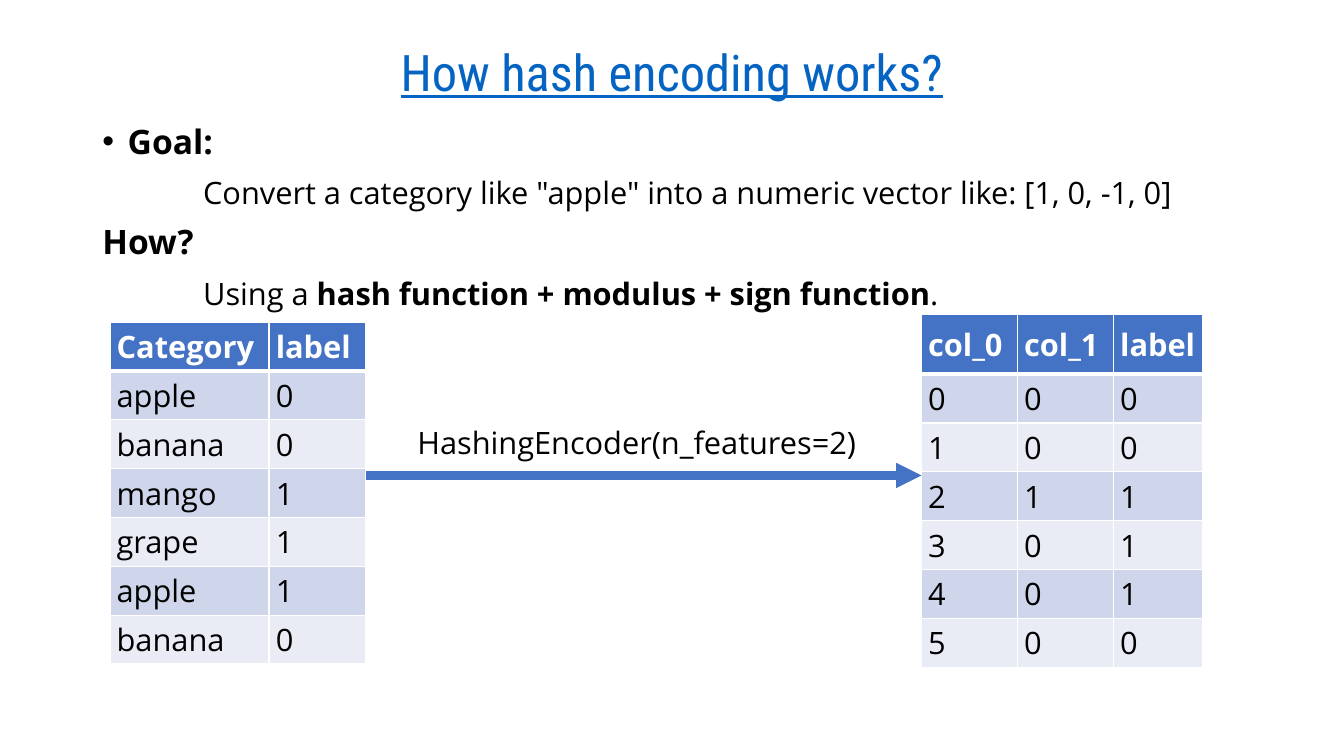
from lxml.etree import SubElement
from pptx import Presentation
from pptx.dml.color import RGBColor
from pptx.enum.shapes import MSO_CONNECTOR
from pptx.enum.text import MSO_ANCHOR, PP_ALIGN
from pptx.oxml.ns import qn
from pptx.util import Cm, Pt

TITLE = "How hash encoding works?"
BODY = [
    [("Goal:", 24, True)],
    [("\t", 24, False),
     ('Convert a category like "apple" into a numeric vector like: [1, 0, -1, 0]', 22, False)],
    [("How?", 24, True)],
    [("\t", 24, False), ("Using a ", 22, False),
     ("hash function + modulus + sign function", 22, True), (".", 22, False)],
]
ENCODER = "HashingEncoder(n_features=2)"
CATEGORIES = [
    ("Category", "label"),
    ("apple", "0"), ("banana", "0"), ("mango", "1"),
    ("grape", "1"), ("apple", "1"), ("banana", "0"),
]
ENCODED = [
    ("col_0", "col_1", "label"),
    ("0", "0", "0"), ("1", "0", "0"), ("2", "1", "1"),
    ("3", "0", "1"), ("4", "0", "1"), ("5", "0", "0"),
]
TEXT_FONT, TITLE_FONT = "Open Sans", "Roboto Condensed"
BLACK, WHITE, BLUE, LINK = "000000", "FFFFFF", "4472C4", "0563C1"
BANDS = ["E9EBF5", "CFD5EA"]
ROW_HEIGHT = 1.23


def color(value):
    return RGBColor.from_string(value)


def style(span, size, bold=False, ink=BLACK, face=TEXT_FONT):
    span.font.name = face
    span.font.size = Pt(size)
    span.font.bold = bold
    span.font.color.rgb = color(ink)


def add_text(page, left, top, width, height, wrap=True):
    box = page.shapes.add_textbox(Cm(left), Cm(top), Cm(width), Cm(height))
    box.text_frame.word_wrap = wrap
    return box.text_frame


def add_border(cell, side, points):
    line = SubElement(cell._tc.get_or_add_tcPr(), qn(f"a:{side}"), w=str(Pt(points)))
    fill = SubElement(line, qn("a:solidFill"))
    SubElement(fill, qn("a:srgbClr"), val=WHITE)


def add_grid(page, rows, left, top, widths, header_height):
    heights = [header_height] + [ROW_HEIGHT] * (len(rows) - 1)
    frame = page.shapes.add_table(len(rows), len(widths), Cm(left), Cm(top),
                                  Cm(sum(widths)), Cm(sum(heights)))
    grid = frame.table
    for column, width in zip(grid.columns, widths):
        column.width = Cm(width)
    for r, (values, height) in enumerate(zip(rows, heights)):
        grid.rows[r].height = Cm(height)
        header = r == 0
        for c, value in enumerate(values):
            cell = grid.cell(r, c)
            cell.margin_left = Cm(0.17)
            cell.margin_right = Cm(0.1)
            cell.margin_top = cell.margin_bottom = Cm(0.08)
            cell.vertical_anchor = MSO_ANCHOR.MIDDLE
            for side in ("lnL", "lnR", "lnT", "lnB"):
                thick = (header and side == "lnB") or (r == 1 and side == "lnT")
                add_border(cell, side, 3 if thick else 1)
            cell.fill.solid()
            cell.fill.fore_color.rgb = color(BLUE if header else BANDS[r % 2])
            cell.text_frame.text = value
            style(cell.text_frame.paragraphs[0].runs[0], 22, header, WHITE if header else BLACK)


def add_title(page):
    frame = add_text(page, 2.33, 1.0, 29.21, 1.78)
    frame.vertical_anchor = MSO_ANCHOR.MIDDLE
    frame.text = TITLE
    para = frame.paragraphs[0]
    para.alignment = PP_ALIGN.CENTER
    para.line_spacing = 0.9
    style(para.runs[0], 36, ink=LINK, face=TITLE_FONT)
    para.runs[0].font.underline = True


def add_body(page):
    frame = add_text(page, 2.33, 3.03, 29.21, 14.12)
    for index, parts in enumerate(BODY):
        para = frame.add_paragraph() if index else frame.paragraphs[0]
        para.line_spacing = 0.9
        properties = para._p.get_or_add_pPr()
        if index:
            para.space_before = Pt(10)
            stops = SubElement(properties, qn("a:tabLst"))
            SubElement(stops, qn("a:tab"), pos=str(Cm(2.54)), algn="l")
        else:
            properties.set("marL", str(Cm(0.64)))
            properties.set("indent", str(-Cm(0.64)))
            SubElement(properties, qn("a:buFont"), typeface="Arial")
            SubElement(properties, qn("a:buChar"), char="•")
        for text, size, bold in parts:
            span = para.add_run()
            span.text = text
            style(span, size, bold)


def add_arrow(page, start, end, height):
    arrow = page.shapes.add_connector(MSO_CONNECTOR.STRAIGHT, Cm(start), Cm(height),
                                      Cm(end), Cm(height))
    arrow.line.color.rgb = color(BLUE)
    arrow.line.width = Pt(6)
    SubElement(arrow.line._get_or_add_ln(), qn("a:tailEnd"), type="triangle")
    SubElement(arrow._element.spPr, qn("a:effectLst"))


def main():
    deck = Presentation()
    deck.slide_width, deck.slide_height = Cm(33.87), Cm(19.05)
    page = deck.slides.add_slide(deck.slide_layouts[6])
    add_title(page)
    add_body(page)
    add_grid(page, CATEGORIES, 2.77, 8.12, [4.01, 2.44], ROW_HEIGHT)
    add_grid(page, ENCODED, 23.22, 7.93, [2.42, 2.42, 2.24], 1.5)
    add_arrow(page, 9.22, 23.22, 11.98)
    label = add_text(page, 10.27, 10.55, 11.71, 1.19, wrap=False)
    label.text = ENCODER
    style(label.paragraphs[0].runs[0], 22)
    deck.save("out.pptx")


if __name__ == "__main__":
    main()
